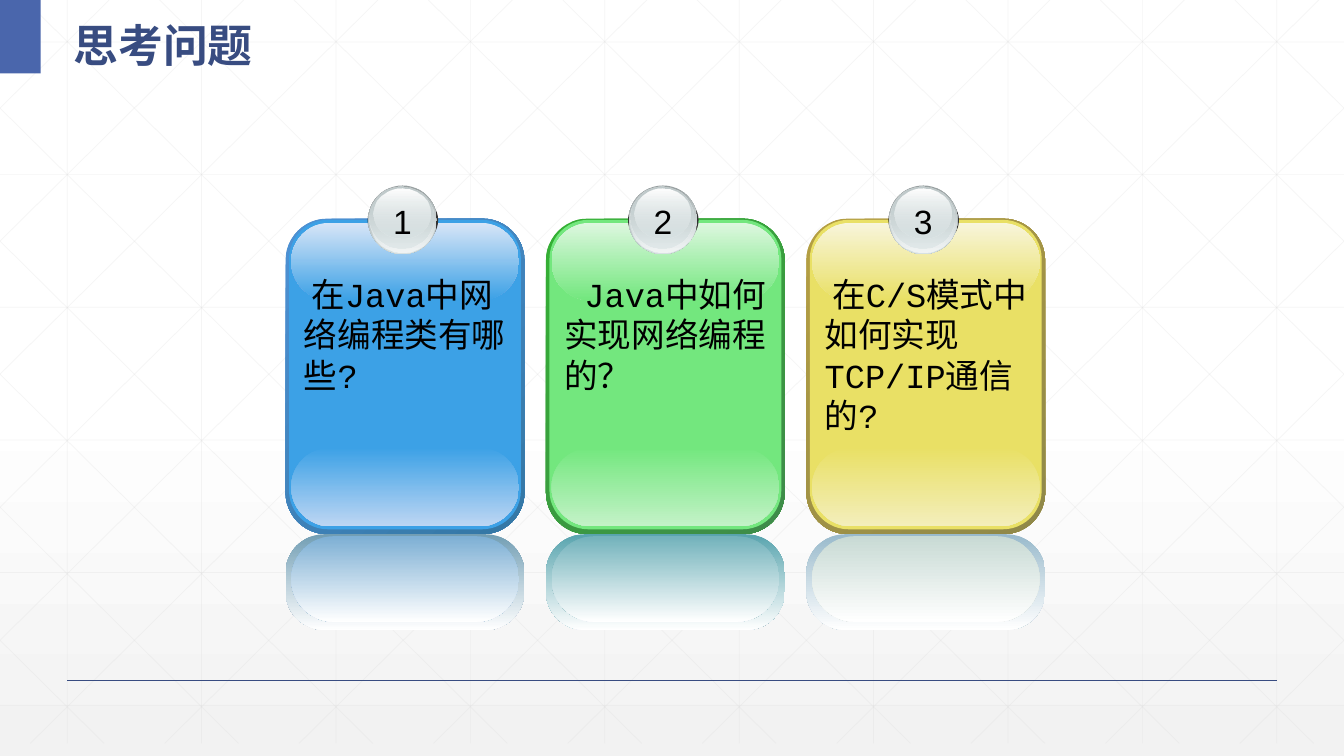
from lxml import etree
from pptx import Presentation
from pptx import util as u
from pptx.dml.color import RGBColor
from pptx.enum import shapes, text
from pptx.oxml.ns import qn

W, H = 960, 540
COLORS = {
    "white": "FFFFFF", "mist": "F2F2F2", "grid": "D9D9D9", "navy": "384C81",
    "accent": "4A66AC", "black": "000000", "shade": "333333",
    "steel": "99A1A2", "silver": "D6E1E2", "pearl": "F2F5F5", "ash": "C1CBCC",
}
CARDS = [
    {"text": " 在Java中网络编程类有哪些?", "body": "3CA1E6",
     "rim": ("4E91D4", "3477A4"), "top": "D7E5F7", "bottom": "BDD6F3",
     "mirror_rim": "729EB4", "mirror": "7DAFD4"},
    {"text": " Java中如何实现网络编程的？", "body": "73E77E",
     "rim": ("34B034", "3F8B4A"), "top": "DDF7DF", "bottom": "C3F2C7",
     "mirror_rim": "58A4AE", "mirror": "72B2BB"},
    {"text": " 在C/S模式中如何实现TCP/IP通信的?", "body": "E9E065",
     "rim": ("B59F43", "8F8849"), "top": "F8F5DB", "bottom": "F3EEBB",
     "mirror_rim": "99BACC", "mirror": "C8DAD4"},
]


def set_alpha(parent, percent):
    """Set the opacity of the colour element inside parent."""
    clr = next(parent.iter(qn("a:srgbClr")))
    etree.SubElement(clr, qn("a:alpha")).set("val", str(percent * 1000))


def paint_gradient(fill, start, end, angle=90, offset=0, alphas=(100, 100)):
    """Fill with two colours running clockwise from the given angle."""
    fill.gradient()
    fill.gradient_angle = 360 - angle
    stops = list(fill.gradient_stops)
    for stop, color, pos in zip(stops, (start, end), (offset, 1)):
        stop.color.rgb = RGBColor.from_string(color)
        stop.position = pos
    for gs, alpha in zip(fill._fill._gradFill.iter(qn("a:gs")), alphas):
        if alpha < 100:
            set_alpha(gs, alpha)


def add_shape(s, kind, x, y, w, h, colors, adj=None, **gradient):
    """Add a borderless shape with one or two fill colours."""
    sp = s.shapes.add_shape(kind, u.Pt(x), u.Pt(y), u.Pt(w), u.Pt(h))
    sp.shadow.inherit = False
    sp.line.fill.background()
    if adj is not None:
        sp.adjustments[0] = adj
    if isinstance(colors, str):
        sp.fill.solid()
        sp.fill.fore_color.rgb = RGBColor.from_string(colors)
    else:
        paint_gradient(sp.fill, *colors, **gradient)
    return sp


def add_text(s, x, y, w, h, content, font="Arial", size=24, color="black",
             bold=False, align=None, wrap=True, spacing=None,
             anchor=text.MSO_ANCHOR.TOP):
    """Add a text box with a single formatted run."""
    tf = s.shapes.add_textbox(u.Pt(x), u.Pt(y), u.Pt(w), u.Pt(h)).text_frame
    tf.word_wrap = wrap
    tf.vertical_anchor = anchor
    p = tf.paragraphs[0]
    p.alignment = align
    p.line_spacing = spacing
    r = p.add_run()
    r.text = content
    r.font.name, r.font.size, r.font.bold = font, u.Pt(size), bold
    r.font.color.rgb = RGBColor.from_string(COLORS[color])
    ea = etree.SubElement(r.font._element, qn("a:ea"))
    ea.set("typeface", "Noto Sans CJK SC")


def add_line(s, x1, y1, x2, y2, color, width, alpha=100):
    """Add a straight line without a shadow."""
    ln = s.shapes.add_connector(shapes.MSO_CONNECTOR.STRAIGHT,
                                u.Pt(x1), u.Pt(y1), u.Pt(x2), u.Pt(y2))
    ln.line.width = u.Pt(width)
    ln.line.color.rgb = RGBColor.from_string(COLORS[color])
    if alpha < 100:
        set_alpha(ln.line._ln, alpha)
    etree.SubElement(ln._element.spPr, qn("a:effectLst"))


def add_grid(s, w, h):
    """Draw the faint lattice of upright, level and diagonal lines."""
    lines = [(x, 0, x, h) for x in range(48, w, 96)]
    lines += [(0, 30 + 94.75 * k, w, 30 + 94.75 * k) for k in range(6)]
    slope = 0.99
    for k in range(-5, 10):
        top = 18 + 96 * k
        x1, x2 = max(0, top), min(w, top + h / slope)
        y1, y2 = (x1 - top) * slope, (x2 - top) * slope
        lines += [(x1, y1, x2, y2), (w - x1, y1, w - x2, y2)]
    for line in lines:
        add_line(s, *line, "grid", 0.5, alpha=25)


def add_header(s, x, y, h):
    """Place the accent block and the title."""
    add_shape(s, shapes.MSO_SHAPE.RECTANGLE, x, y, 29, h, COLORS["accent"])
    add_text(s, x + 45.5, y, 410, h, "思考问题", font="Noto Sans CJK SC",
             size=32, color="navy", bold=True, spacing=1.3,
             anchor=text.MSO_ANCHOR.MIDDLE)


def add_badge(s, x, y, d, number):
    """Draw the glossy ball with its number."""
    c = COLORS
    layers = [
        (-0.4, 4.3, d + 1.4, 41, c["shade"], {}),
        (0, 0, d, d, (c["steel"], c["silver"]), {}),
        (0.7, 0.7, 47.5, 47.5, (c["silver"], c["pearl"]), {"alphas": (0, 100)}),
        (1.2, 0.7, 45.4, 44.6, (c["ash"], c["silver"]), {"alphas": (100, 48)}),
        (4, 2, 40.3, 36, (c["white"], c["silver"]), {"alphas": (100, 38)}),
    ]
    for dx, dy, w, h, colors, gradient in layers:
        add_shape(s, shapes.MSO_SHAPE.OVAL, x + dx, y + dy, w, h, colors, **gradient)
    add_text(s, x + 10.5, y + 7.2, 28, 36, str(number), wrap=False,
             align=text.PP_ALIGN.CENTER)


def add_card(s, x, y, w, h, number, card):
    """Draw one glossy card with its reflection, badge and question."""
    body, white = card["body"], COLORS["white"]
    layers = [
        (0, 0, w, h, 0.175, card["rim"], 45),
        (2.5, 0.9, 165.6, 221, 0.167, body, 90),
        (4, 163.5, 162.7, 56.2, 0.5, (body, card["bottom"]), 90),
        (4, 2.9, 162.7, 55.4, 0.5, (card["top"], body), 90),
        (0, h, w, 68.4, 0.404, (card["mirror_rim"], white), 90),
        (4, h + 1.4, 162.7, 61.2, 0.5, (card["mirror"], white), 90),
    ]
    for dx, dy, lw, lh, adj, colors, angle in layers:
        add_shape(s, shapes.MSO_SHAPE.ROUNDED_RECTANGLE, x + dx, y + dy,
                  lw, lh, colors, adj, angle=angle)
    add_badge(s, x + 59, y - 23.7, 49, number)
    add_text(s, x + 6, y + 36, 162, 94, card["text"], font="Courier New")


def main():
    """Build and save the slide."""
    prs = Presentation()
    prs.slide_width, prs.slide_height = u.Pt(W), u.Pt(H)
    s = prs.slides.add_slide(prs.slide_layouts[6])
    paint_gradient(s.background.fill, COLORS["white"], COLORS["mist"], offset=0.53)
    add_grid(s, W, 531)
    add_line(s, 48, 486, W - 48, 486, "navy", 1)
    add_header(s, 0, 0, 52.5)
    for i, card in enumerate(CARDS):
        add_card(s, 204 + 186 * i, 156.2, 170.6, 225.4, i + 1, card)
    prs.save("out.pptx")


if __name__ == "__main__":
    main()
